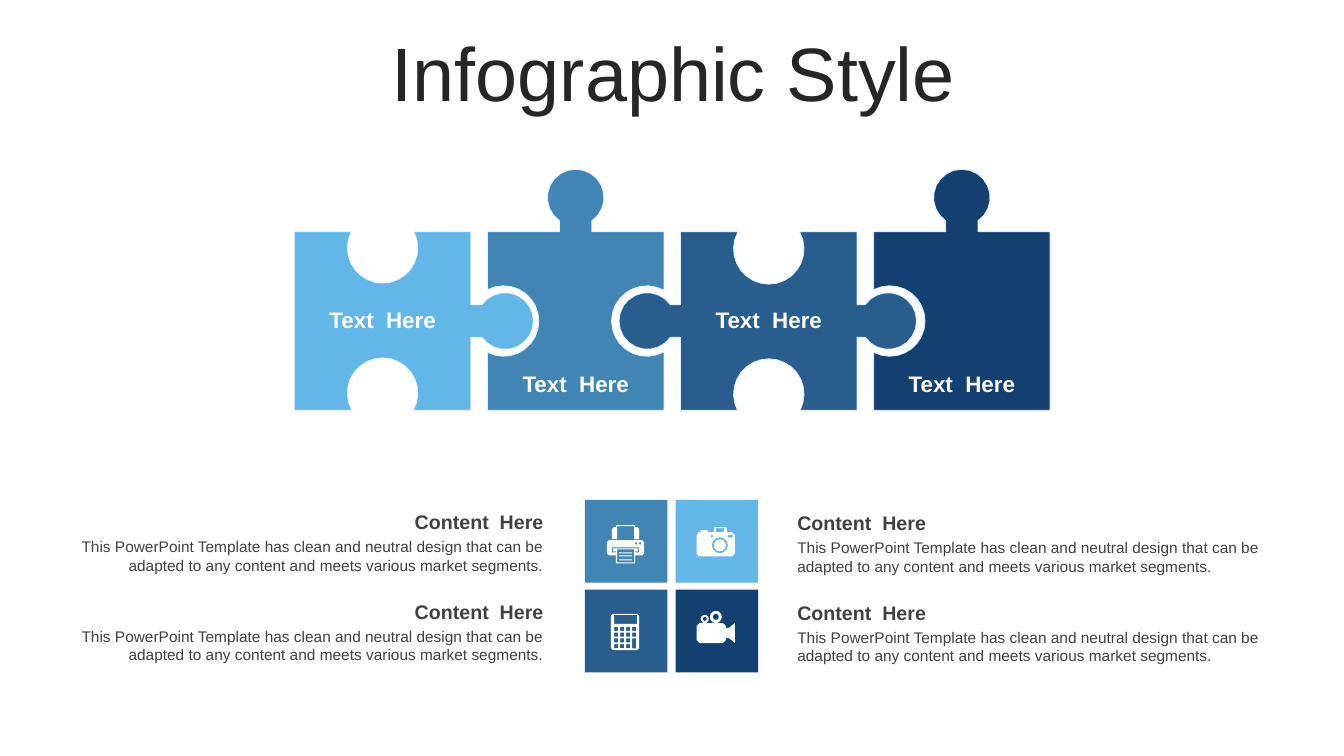
import math

from pptx import Presentation
from pptx import util as u
from pptx.dml.color import RGBColor
from pptx.enum import shapes, text

SKY = RGBColor(0x62, 0xB7, 0xE8)
STEEL = RGBColor(0x41, 0x85, 0xB5)
OCEAN = RGBColor(0x28, 0x5D, 0x8D)
NAVY = RGBColor(0x13, 0x40, 0x70)
EDGE = RGBColor(0xE1, 0xF1, 0xFF)
WHITE = RGBColor(0xFF, 0xFF, 0xFF)
TITLE_INK = RGBColor(0x26, 0x26, 0x26)
BODY_INK = RGBColor(0x40, 0x40, 0x40)

FONT = "Arial"
BLURB = ("This PowerPoint Template has clean and neutral design that can be "
         "adapted to any content and meets various market segments.")
PIECE_WIDTH, PIECE_HEIGHT, PIECE_PITCH = 1.75, 1.77, 1.915
KNOB_RADIUS, NECK_HALF, NOTCH_RADIUS = 0.28, 0.16, 0.35
TILE_SIZE, TILE_PITCH_X, TILE_PITCH_Y = 0.82, 0.9, 0.89


def write(frame, content, size=11, color=BODY_INK, bold=False,
          align=text.PP_ALIGN.LEFT, anchor=text.MSO_ANCHOR.TOP, spacing=1.0):
    """Fill a text frame with one formatted paragraph."""
    frame.word_wrap = True
    frame.vertical_anchor = anchor
    para = frame.paragraphs[0]
    para.alignment, para.line_spacing, para.space_before = align, spacing, u.Pt(0)
    span = para.add_run()
    span.text = content
    span.font.name, span.font.size = FONT, u.Pt(size)
    span.font.bold, span.font.color.rgb = bold, color


def add_text(page, left, top, width, height, content, **style):
    """Add a text box, measured in inches."""
    box = page.shapes.add_textbox(*map(u.Inches, (left, top, width, height)))
    write(box.text_frame, content, **style)


def paint(shape, fill, line=None):
    """Give a shape a flat fill and an optional hairline."""
    shape.shadow.inherit = False
    shape.fill.solid()
    shape.fill.fore_color.rgb = fill
    if line is None:
        shape.line.fill.background()
    else:
        shape.line.color.rgb = line
        shape.line.width = u.Pt(0.5)


def add_outline(page, left, top, contours, fill, line=None):
    """Draw closed contours, given in inches from a corner, as one shape."""
    builder = None
    for contour in contours:
        start, *rest = [(u.Inches(left + x), u.Inches(top + y)) for x, y in contour]
        if builder is None:
            builder = page.shapes.build_freeform(*start)
        else:
            builder.move_to(*start)
        builder.add_line_segments(rest, close=True)
    paint(builder.convert_to_shape(), fill, line)


def circle(x, y, radius, steps=12):
    """Return the points of a circle."""
    angles = [2 * math.pi * step / steps for step in range(steps)]
    return [(x + radius * math.cos(a), y + radius * math.sin(a)) for a in angles]


def block(x, y, width, height):
    """Return the corners of a rectangle."""
    return [(x, y), (x + width, y), (x + width, y + height), (x, y + height)]


def joint(offset, steps=18):
    """Return a knob (positive offset) or notch along an edge."""
    if offset > 0:
        radius, half, sign = KNOB_RADIUS, NECK_HALF, 1
    else:
        radius, sign = NOTCH_RADIUS, -1
        half = math.sqrt(radius ** 2 - offset ** 2)
    gap = math.asin(half / radius)
    sweep = [gap + (2 * math.pi - 2 * gap) * step / steps for step in range(steps + 1)]
    arc = [(-radius * math.sin(t), offset - sign * radius * math.cos(t)) for t in sweep]
    return [(-half, 0), *arc, (half, 0)] if offset > 0 else arc


def piece_outline(joints):
    """Walk clockwise round a puzzle piece, adding the joint of each side."""
    half_x, half_y = PIECE_WIDTH / 2, PIECE_HEIGHT / 2
    normals = {"top": (0, -1), "right": (1, 0), "bottom": (0, 1), "left": (-1, 0)}
    points = []
    for side, (nx, ny) in normals.items():
        along_x, along_y = -ny, nx
        middle_x, middle_y = half_x * (1 + nx), half_y * (1 + ny)
        points.append((middle_x - along_x * half_x, middle_y - along_y * half_y))
        if side in joints:
            points += [(middle_x + along_x * a + nx * out, middle_y + along_y * a + ny * out)
                       for a, out in joint(joints[side])]
    return points


def add_title(page, left, top, width, height):
    """Place the slide title in its placeholder."""
    title = page.shapes.title
    title.left, title.top, title.width, title.height = map(
        u.Inches, (left, top, width, height))
    write(title.text_frame, "Infographic Style", size=54, color=TITLE_INK, spacing=0.9,
          align=text.PP_ALIGN.CENTER, anchor=text.MSO_ANCHOR.MIDDLE)


def add_puzzle(page, left, top):
    """Draw the row of four interlocking pieces with their labels."""
    pieces = [
        (SKY, 0.69, {"top": -0.16, "bottom": -0.17, "right": 0.34}),
        (STEEL, 1.32, {"top": 0.34, "left": -0.16, "right": -0.17}),
        (OCEAN, 0.69, {"top": -0.17, "bottom": -0.16, "left": 0.33, "right": 0.31}),
        (NAVY, 1.32, {"top": 0.34, "left": -0.16}),
    ]
    for index, (color, label_top, joints) in enumerate(pieces):
        x = left + index * PIECE_PITCH
        add_outline(page, x, top, [piece_outline(joints)], color, EDGE)
        add_text(page, x + 0.05, top + label_top, 1.65, 0.37, "Text  Here", size=16,
                 color=WHITE, bold=True, align=text.PP_ALIGN.CENTER)


def printer():
    """Return the contours of the printer icon."""
    body = [(0.24, 0.4), (0.57, 0.4), (0.59, 0.42), (0.59, 0.53), (0.57, 0.55), (0.5, 0.55),
            (0.5, 0.63), (0.31, 0.63), (0.31, 0.55), (0.24, 0.55), (0.22, 0.53), (0.22, 0.42)]
    slot = [(0.27, 0.47), (0.54, 0.47), (0.54, 0.52), (0.5, 0.52), (0.5, 0.51), (0.53, 0.51),
            (0.53, 0.48), (0.28, 0.48), (0.28, 0.51), (0.31, 0.51), (0.31, 0.52), (0.27, 0.52)]
    tray = [(0.31, 0.25), (0.5, 0.25), (0.5, 0.27), (0.52, 0.27), (0.54, 0.29), (0.54, 0.39),
            (0.49, 0.39), (0.49, 0.26), (0.32, 0.26), (0.32, 0.39), (0.27, 0.39),
            (0.27, 0.29), (0.29, 0.27), (0.31, 0.27)]
    lines = [block(0.34, y, 0.13, 0.01) for y in (0.52, 0.55, 0.59)]
    lights = [block(x, 0.42, 0.02, 0.02) for x in (0.5, 0.54)]
    return [body, slot, tray, block(0.32, 0.49, 0.17, 0.13), *lines, *lights]


def camera():
    """Return the contours of the camera icon."""
    body = [(0.21, 0.35), (0.23, 0.32), (0.25, 0.32), (0.25, 0.3), (0.32, 0.3), (0.32, 0.32),
            (0.38, 0.32), (0.38, 0.28), (0.39, 0.27), (0.5, 0.27), (0.51, 0.28), (0.51, 0.32),
            (0.56, 0.32), (0.59, 0.35), (0.59, 0.53), (0.56, 0.56), (0.23, 0.56), (0.21, 0.53)]
    return [body, circle(0.44, 0.45, 0.08), circle(0.44, 0.45, 0.06),
            block(0.4, 0.28, 0.08, 0.04), block(0.35, 0.35, 0.02, 0.02),
            block(0.52, 0.35, 0.05, 0.02)]


def calculator():
    """Return the contours of the calculator icon."""
    case = [(0.28, 0.24), (0.52, 0.24), (0.54, 0.26), (0.54, 0.58), (0.52, 0.6),
            (0.28, 0.6), (0.26, 0.58), (0.26, 0.26)]
    keys = [block(0.29 + 0.06 * column, 0.37 + 0.057 * row, 0.04,
                  0.1 if (row, column) == (2, 3) else 0.04)
            for row in range(4) for column in range(4) if (row, column) != (3, 3)]
    return [case, block(0.29, 0.25, 0.23, 0.09), *keys]


def movie_camera():
    """Return the contours of the movie camera icon."""
    body = [(0.21, 0.36), (0.24, 0.33), (0.47, 0.33), (0.5, 0.36), (0.5, 0.38), (0.53, 0.38),
            (0.59, 0.33), (0.59, 0.53), (0.53, 0.48), (0.5, 0.48), (0.5, 0.5), (0.47, 0.53),
            (0.24, 0.53), (0.21, 0.5)]
    return [body, circle(0.4, 0.27, 0.06), circle(0.4, 0.27, 0.03),
            circle(0.29, 0.29, 0.04), circle(0.29, 0.29, 0.02)]


def add_tiles(page, left, top):
    """Draw the two by two block of icon tiles."""
    tiles = [(STEEL, printer), (SKY, camera), (OCEAN, calculator), (NAVY, movie_camera)]
    for index, (color, icon) in enumerate(tiles):
        row, column = divmod(index, 2)
        x, y = left + column * TILE_PITCH_X, top + row * TILE_PITCH_Y
        tile = page.shapes.add_shape(shapes.MSO_SHAPE.RECTANGLE,
                                     *map(u.Inches, (x, y, TILE_SIZE, TILE_SIZE)))
        paint(tile, color)
        add_outline(page, x, y, icon(), WHITE)


def add_notes_column(page, left, top, width, align):
    """Write two headed descriptions, one beside each row of tiles."""
    for row in range(2):
        y = top + row * TILE_PITCH_Y
        add_text(page, left, y, width, 0.34, "Content  Here", size=14, bold=True,
                 align=align, anchor=text.MSO_ANCHOR.MIDDLE)
        add_text(page, left, y + 0.27, width, 0.47, BLURB, align=align)


def main():
    """Build the slide and save it."""
    deck = Presentation()
    deck.slide_width, deck.slide_height = u.Inches(13.33), u.Inches(7.5)
    page = deck.slides.add_slide(deck.slide_layouts[5])
    add_title(page, 0.35, 0.37, 12.66, 0.79)
    add_puzzle(page, 2.92, 2.3)
    add_tiles(page, 5.8, 4.96)
    add_notes_column(page, 7.81, 5.02, 4.8, text.PP_ALIGN.LEFT)
    add_notes_column(page, 0.69, 5.01, 4.8, text.PP_ALIGN.RIGHT)
    deck.save("out.pptx")


if __name__ == "__main__":
    main()
